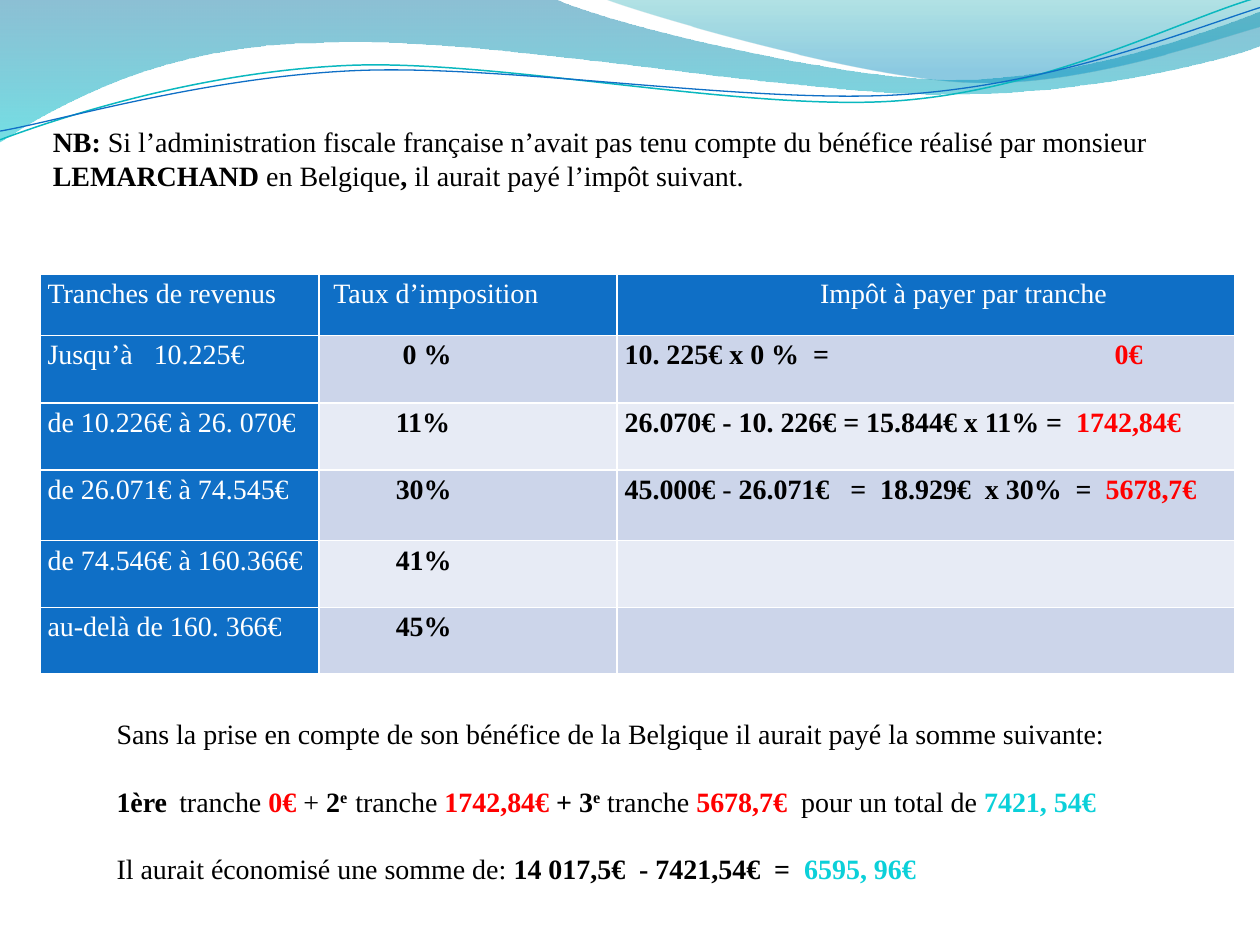
"""Build a slide comparing the tax due with and without the Belgian profit."""
from lxml.etree import SubElement
from pptx import Presentation
from pptx.dml.color import RGBColor
from pptx.enum.text import MSO_ANCHOR, MSO_AUTO_SIZE, PP_ALIGN
from pptx.oxml.ns import qn
from pptx.util import Pt

THEME = {
    "font": "Times New Roman", "size": 16,
    "white": "FFFFFF", "black": "000000", "red": "FF0000", "teal": "0BD0D9",
    "blue": "0F6FC6", "aqua": "0AB8BF", "odd": "CCD5EA", "even": "E7EBF5",
}
STYLES = {
    "plain": ("black", False), "bold": ("black", True), "super": ("black", True),
    "red": ("red", True), "teal": ("teal", True), "head": ("white", False),
}

NOTE = [
    ("NB: ", "bold"),
    ("Si l’administration fiscale française n’avait pas tenu compte du bénéfice réalisé par monsieur", "plain"),
    (" LEMARCHAND ", "bold"), ("en Belgique", "plain"), (", ", "bold"),
    ("il aurait payé l’impôt suivant.", "plain"),
]
HEADS = ["Tranches de revenus", "Taux d’imposition", "Impôt à payer par tranche"]
BANDS = [
    ("Jusqu’à   10.225€", " 0 %", [("10. 225€ x 0 %  =\t", "bold"), ("0€", "red")]),
    ("de 10.226€ à 26. 070€", "11%",
     [("26.070€ - 10. 226€ = 15.844€ x 11% =  ", "bold"), ("1742,84€", "red")]),
    ("de 26.071€ à 74.545€", "30%",
     [("45.000€ ", "bold"), ("- ", "plain"), ("26.071€   =  18.929€  x 30%  =  ", "bold"),
      ("5678,7€", "red")]),
    ("de 74.546€ à 160.366€", "41%", []),
    ("au-delà de 160. 366€", "45%", []),
]
SUMS = [
    [("Sans la prise en compte de son bénéfice de la Belgique il aurait payé la somme suivante:", "plain")],
    [("1ère", "bold"), ("   ", "super"), ("tranche ", "plain"), ("0€ ", "red"), ("+ ", "plain"),
     ("2", "bold"), ("e  ", "super"), ("tranche ", "plain"), ("1742,84€ ", "red"),
     ("+ 3", "bold"), ("e", "super"), (" tranche", "plain"), (" 5678,7€  ", "red"),
     ("pour un total de ", "plain"), ("7421, 54€", "teal")],
    [("Il aurait économisé une somme de: ", "plain"),
     ("14 017,5€  - 7421,54€  =  ", "bold"), ("6595, 96€", "teal")],
]
WIDTHS = [159.3, 170.5, 353]
HEIGHTS = [34.9, 38.6, 38.4, 40.3, 38.2, 38.2]
INSETS = {"head": [4.3, 8.3, 116], "body": [4.3, 44, 4.3]}

WAVES = [
    ([(0, -0.7), (316.8, -0.7), (342.7, 12.2, 478.1, 45.4, 545.8, 45.4),
      (614.2, 45.4, 689.8, 18.7, 720, 6.5), (720.7, 25.9),
      (707.8, 31.7, 626.4, 54.7, 537.1, 54), (447.8, 54, 275, 20.2, 185, 24.5),
      (92.9, 25.2, 33.1, 59.8, -0.7, 81.4)],
     [(0, "0074A1", 45), (1, "00C6CF", 55)]),
    ([(344.9, -0.7), (366.5, 7.9, 491, 44.6, 553.7, 46.8),
      (616.3, 49.7, 691.9, 23, 720, 15.1), (720, 0)],
     [(0, "00A1A9", 30), (0.8, "008BBF", 45)]),
]
CURVES = [
    ([(0, 79.9), (34.6, 67, 113.8, 41, 199.4, 37.4),
      (284.4, 33.8, 427, 64.1, 513.4, 57.6), (599.8, 51.1, 675.4, 10.8, 718.6, -1.4)],
     "aqua", 0.85),
    ([(0, 74.9), (33.8, 69.1, 118.1, 43.9, 203.8, 40.3),
      (290.2, 36.7, 429.8, 59.8, 516.2, 54), (601.9, 48.2, 673.2, 19.4, 720, 4.3)],
     "blue", 0.75),
]


def tint(name):
    return RGBColor.from_string(THEME[name])


def draw(slide, steps, close):
    dots = [(Pt(s[i]), Pt(s[i + 1])) for s in steps for i in range(0, len(s), 2)]
    pen = slide.shapes.build_freeform(*dots[0])
    pen.add_line_segments(dots[1:], close=close)
    shape = pen.convert_to_shape()
    shape.shadow.inherit = False
    legs = iter(list(shape._element.iter(qn("a:lnTo"))))
    for step in steps[1:]:
        leg = next(legs)
        if len(step) == 6:
            bend = SubElement(leg.getparent(), qn("a:cubicBezTo"))
            leg.addprevious(bend)
            for part in (leg, next(legs), next(legs)):
                bend.append(part[0])
                part.getparent().remove(part)
    return shape


def add_waves(slide):
    for steps, stops in WAVES:
        shape = draw(slide, steps, True)
        shape.line.fill.background()
        shape.fill.gradient()
        shape.fill.gradient_angle = 270
        for stop, (spot, shade, _) in zip(shape.fill.gradient_stops, stops):
            stop.position = spot
            stop.color.rgb = RGBColor.from_string(shade)
        for node, (_, _, alpha) in zip(shape._element.iter(qn("a:srgbClr")), stops):
            SubElement(node, qn("a:alpha"), val=str(alpha * 1000))
    for steps, shade, width in CURVES:
        shape = draw(slide, steps, False)
        shape.fill.background()
        shape.line.color.rgb = tint(shade)
        shape.line.width = Pt(width)


def write(para, runs, spacing):
    para.alignment = PP_ALIGN.LEFT
    para.line_spacing = spacing
    para.font.name = THEME["font"]
    para.font.size = Pt(THEME["size"])
    for text, style in runs:
        run = para.add_run()
        run.text = text
        shade, run.font.bold = STYLES[style]
        run.font.color.rgb = tint(shade)
        if style == "super":
            run._r.get_or_add_rPr().set("baseline", "30000")


def place(shape, left, top, width, height):
    shape.left, shape.top, shape.width, shape.height = map(Pt, (left, top, width, height))
    frame = shape.text_frame
    frame.word_wrap = True
    frame.auto_size = MSO_AUTO_SIZE.NONE
    frame.vertical_anchor = MSO_ANCHOR.TOP
    return frame


def add_grid(slide):
    rows = [[[(head, "head")] for head in HEADS]]
    rows += [[[(band, "head")], [(rate, "bold")], due] for band, rate, due in BANDS]
    table = slide.shapes.add_table(
        len(rows), len(WIDTHS), Pt(22.9), Pt(156.7), Pt(sum(WIDTHS)), Pt(sum(HEIGHTS))).table
    table.first_col = True
    for col, width in zip(table.columns, WIDTHS):
        col.width = Pt(width)
    for r, row in enumerate(rows):
        table.rows[r].height = Pt(HEIGHTS[r])
        for c, runs in enumerate(row):
            cell = table.cell(r, c)
            cell.fill.solid()
            cell.fill.fore_color.rgb = tint("blue" if r == 0 or c == 0 else "odd" if r % 2 else "even")
            cell.margin_left = Pt(INSETS["body" if r else "head"][c])
            cell.margin_right = Pt(4.3)
            cell.margin_top = cell.margin_bottom = 0
            para = cell.text_frame.paragraphs[0]
            para.space_after = Pt(10)
            if any("\t" in text for text, _ in runs):
                tabs = SubElement(para._p.get_or_add_pPr(), qn("a:tabLst"))
                SubElement(tabs, qn("a:tab"), pos=str(Pt(280)), algn="l")
            write(para, runs, 1.15)


def main():
    deck = Presentation()
    deck.slide_width, deck.slide_height = Pt(720), Pt(540)
    slide = deck.slides.add_slide(deck.slide_layouts[5])
    add_waves(slide)
    add_grid(slide)
    note = place(slide.shapes.title, 23, 67.7, 662.4, 46)
    write(note.paragraphs[0], NOTE, 1)
    sums = place(slide.shapes.add_textbox(0, 0, 0, 0), 59.5, 406, 617.8, 104.4)
    for i, runs in enumerate(SUMS):
        para = sums.add_paragraph() if i else sums.paragraphs[0]
        para.space_before = Pt(19.4 if i else 0)
        write(para, runs, 1)
    deck.save("out.pptx")


if __name__ == "__main__":
    main()
